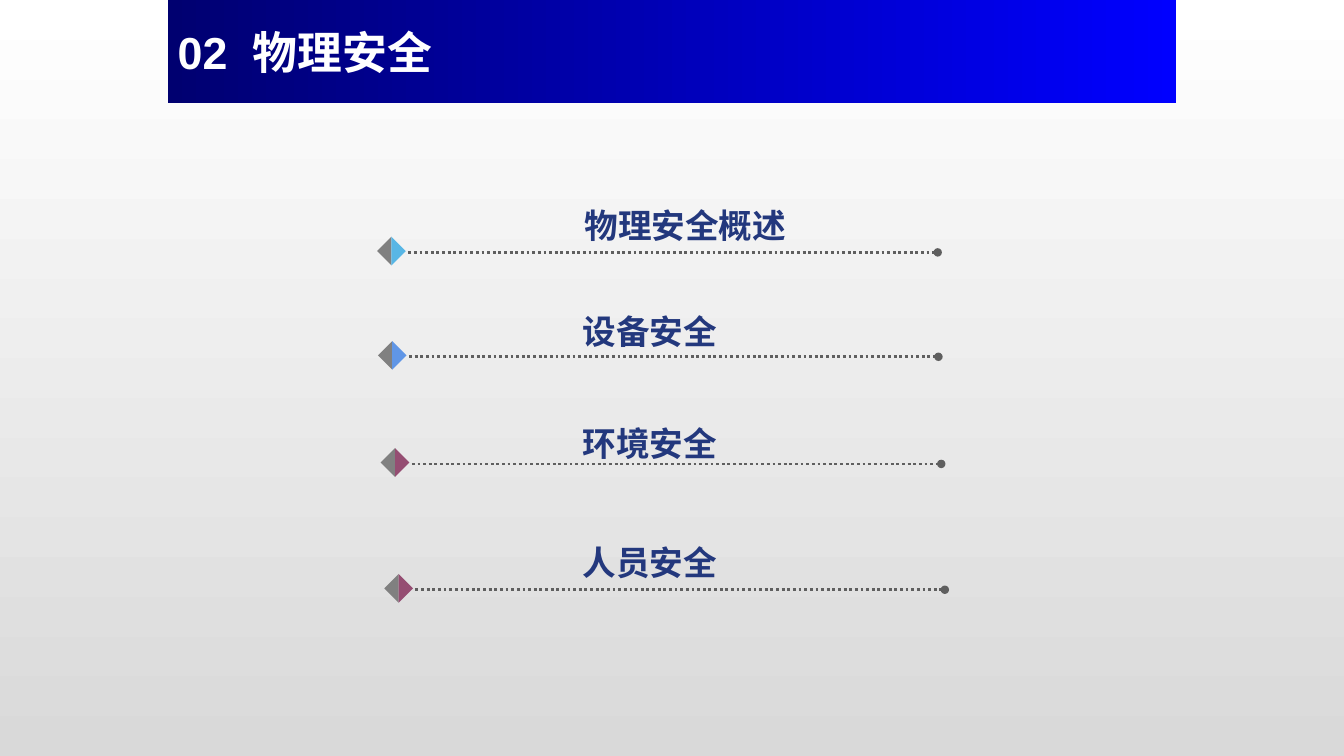
from dataclasses import dataclass

from lxml.etree import SubElement
from pptx import Presentation
from pptx.dml.color import RGBColor
from pptx.enum.dml import MSO_LINE_DASH_STYLE as Dash
from pptx.enum.shapes import MSO_CONNECTOR as Connector, MSO_SHAPE as Shape
from pptx.enum.text import MSO_ANCHOR as Anchor, MSO_AUTO_SIZE as AutoSize, PP_ALIGN as Align
from pptx.oxml.ns import qn
from pptx.util import Cm, Pt


@dataclass(frozen=True)
class Theme:
    sky: tuple = ("FFFFFF", "D9D9D9")
    banner: tuple = ("000070", "0000FF")
    banner_text: str = "FFFFFF"
    topic_text: str = "23387D"
    rule: str = "5F5F5F"
    marker_left: str = "808080"
    title_font: str = "Arial"
    topic_font: str = "DejaVu Sans"
    title_size: int = 32
    topic_size: int = 24


THEME = Theme()

RULE_LENGTH = 13.34
MARKER_SIZE = 0.51
MARKER_DX, MARKER_DY = -0.68, -0.29  # from the start of the rule
TOPIC_HEIGHT = 1.27

# Topic, text left, text top, text width, rule left, rule top, marker colour
TOPICS = [
    ("物理安全概述", 14.48, 5.03, 5.59, 10.29, 6.36, "58B6E5"),
    ("设备安全", 14.43, 7.72, 3.89, 10.31, 8.99, "6096E6"),
    ("环境安全", 14.43, 10.52, 3.89, 10.38, 11.69, "954D72"),
    ("人员安全", 14.43, 13.54, 3.89, 10.47, 14.86, "954D72"),
]


def rgb(code):
    return RGBColor.from_string(code)


def fill_gradient(fill, colours, angle):
    fill.gradient()
    fill.gradient_angle = angle
    for stop, colour in zip(fill.gradient_stops, colours):
        stop.color.rgb = rgb(colour)


def style_font(font, name, size, colour):
    font.name, font.size, font.bold = name, Pt(size), True
    font.color.rgb = rgb(colour)


def add_banner(slide, number, heading):
    banner = slide.shapes.add_shape(Shape.RECTANGLE, Cm(4.23), 0, Cm(25.4), Cm(2.59))
    banner.shadow.inherit = False
    fill_gradient(banner.fill, THEME.banner, 0)
    banner.line.fill.background()
    frame = banner.text_frame
    frame.word_wrap = False
    frame.vertical_anchor = Anchor.MIDDLE
    title = frame.paragraphs[0]
    title.alignment = Align.LEFT
    style_font(title.font, THEME.title_font, THEME.title_size, THEME.banner_text)
    title.add_run().text = number
    gap = title.add_run()
    gap.text = " "
    gap._r.get_or_add_rPr().set("spc", "900")  # widens the single space
    title.add_run().text = heading


def add_rule(group, left, top):
    rule = group.shapes.add_connector(
        Connector.STRAIGHT, Cm(left), Cm(top), Cm(left + RULE_LENGTH), Cm(top))
    rule.line.color.rgb = rgb(THEME.rule)
    rule.line.width = Pt(2)
    rule.line.dash_style = Dash.ROUND_DOT
    SubElement(rule.line._get_or_add_ln(), qn("a:tailEnd"), type="oval")
    SubElement(rule._element.spPr, qn("a:effectLst"))


def add_marker_half(group, left, top, rotation, colour):
    half = group.shapes.add_shape(
        Shape.RIGHT_TRIANGLE, Cm(left), Cm(top), Cm(MARKER_SIZE), Cm(MARKER_SIZE))
    half.rotation = rotation
    half.shadow.inherit = False
    half.fill.solid()
    half.fill.fore_color.rgb = rgb(colour)
    half.line.fill.background()


def add_marked_rule(slide, left, top, colour):
    group = slide.shapes.add_group_shape()
    add_rule(group, left, top)
    for rotation, half_colour in ((45, THEME.marker_left), (225, colour)):
        add_marker_half(group, left + MARKER_DX, top + MARKER_DY, rotation, half_colour)


def add_topic(slide, topic, left, top, width):
    box = slide.shapes.add_textbox(Cm(left), Cm(top), Cm(width), Cm(TOPIC_HEIGHT))
    frame = box.text_frame
    frame.word_wrap = False
    frame.auto_size = AutoSize.SHAPE_TO_FIT_TEXT
    label = frame.paragraphs[0]
    label.text = topic
    style_font(label.font, THEME.topic_font, THEME.topic_size, THEME.topic_text)


def main():
    deck = Presentation()
    deck.slide_width, deck.slide_height = Cm(33.87), Cm(19.05)
    slide = deck.slides.add_slide(deck.slide_layouts[6])

    # Background and heading
    fill_gradient(slide.background.fill, THEME.sky, 270)
    add_banner(slide, "02", "物理安全")

    # Topics, each above its dotted rule
    for topic, text_left, text_top, width, rule_left, rule_top, colour in TOPICS:
        add_marked_rule(slide, rule_left, rule_top, colour)
        add_topic(slide, topic, text_left, text_top, width)

    deck.save("out.pptx")


if __name__ == "__main__":
    main()
